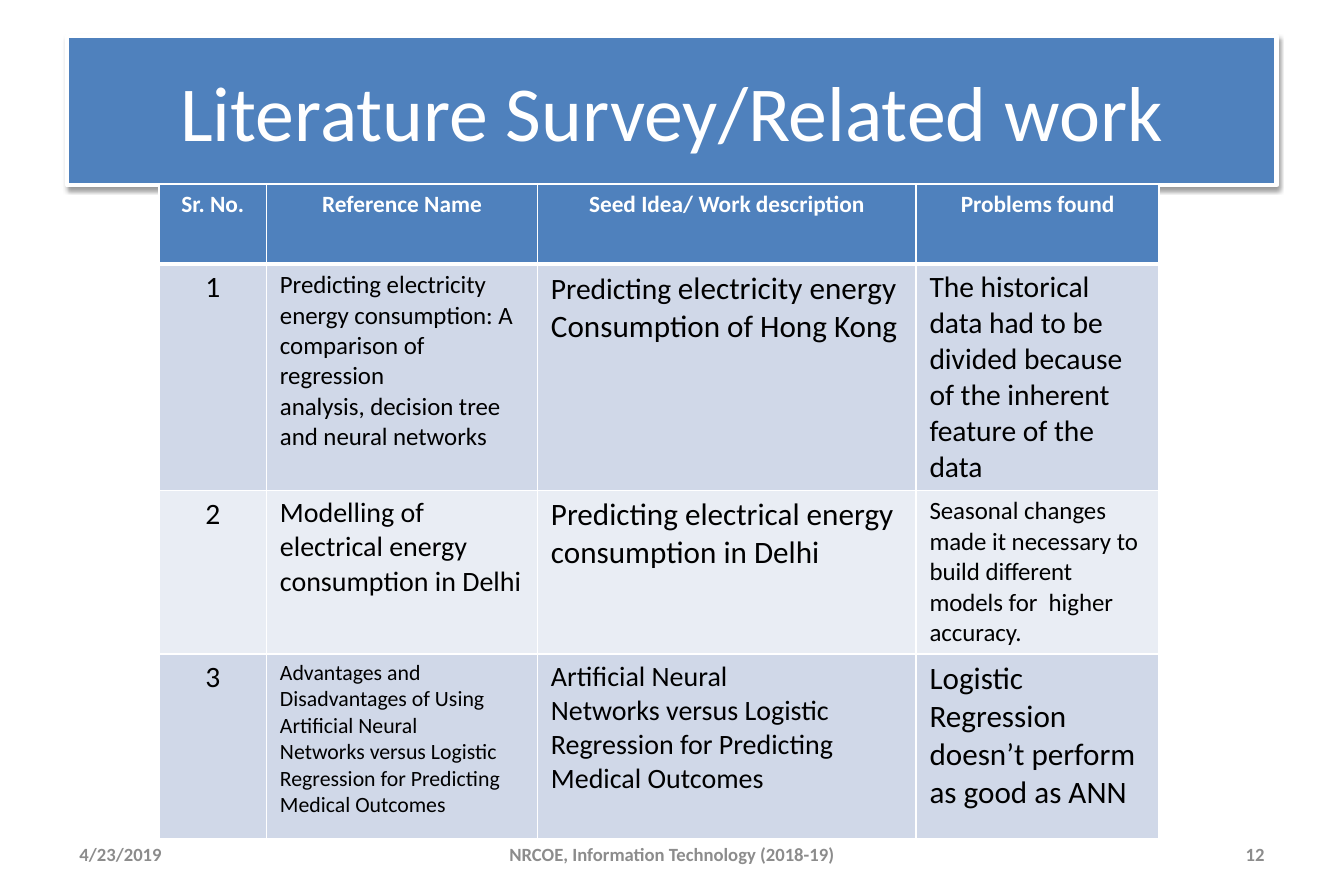
from lxml.etree import SubElement
from pptx import Presentation
from pptx.dml.color import RGBColor
from pptx.enum.shapes import MSO_SHAPE as Shape
from pptx.enum.text import MSO_ANCHOR as Anchor, PP_ALIGN as Align
from pptx.oxml.ns import qn
from pptx.util import Inches, Pt

WIDTH, HEIGHT = 12, 8
MARGIN = 0.05 * WIDTH
FONT = "Calibri"
BLUE = RGBColor(0x4F, 0x81, 0xBD)
BAND_DARK = RGBColor(0xD0, 0xD8, 0xE8)
BAND_LIGHT = RGBColor(0xE9, 0xED, 0xF4)
WHITE = RGBColor(0xFF, 0xFF, 0xFF)
BLACK = RGBColor(0, 0, 0)
GREY = RGBColor(0x8C, 0x8C, 0x8C)

COLUMNS = [0.96, 2.42, 3.38, 2.17]
ROWS = [0.71, 2.02, 1.46, 1.65]
HEADINGS = ["Sr. No.", "Reference Name", "Seed Idea/ Work description", "Problems found"]
# Each cell lists its paragraphs, each paragraph its (text, size) spans.
SURVEY = [
    [
        [[("1", 19)]],
        [[("Predicting electricity energy consumption: A comparison of regression", 16)],
         [("analysis, decision tree and neural networks", 16)]],
        [[("Predicting ", 19), ("electricity energy", 20)],
         [("Consumption of Hong Kong", 20)]],
        [[("The historical data had to be divided because of the inherent "
           "feature of the data", 19)]],
    ],
    [
        [[("2", 19)]],
        [[("Modelling of electrical energy consumption in Delhi", 18)]],
        [[("Predicting electrical energy consumption in Delhi", 20)]],
        [[("Seasonal changes made it necessary to build different models for  "
           "higher accuracy.", 16)]],
    ],
    [
        [[("3", 19)]],
        *[[[(line, size)] for line in lines] for lines, size in [
            (["Advantages and Disadvantages of Using Artificial Neural",
              "Networks versus Logistic Regression for Predicting",
              "Medical Outcomes"], 14),
            (["Artificial Neural",
              "Networks versus Logistic Regression for Predicting",
              "Medical Outcomes"], 18)]],
        [[("Logistic Regression doesn’t perform as good as ANN", 20)]],
    ],
]


def write(frame, paragraphs, align, color, bold=False):
    for index, spans in enumerate(paragraphs):
        para = frame.paragraphs[0] if index == 0 else frame.add_paragraph()
        para.alignment = align
        for text, size in spans:
            span = para.add_run()
            span.text = text
            span.font.color.rgb = color
            for name, value in {"name": FONT, "size": Pt(size), "bold": bold}.items():
                setattr(span.font, name, value)


def set_frame(frame):
    formats = {"word_wrap": True, "vertical_anchor": Anchor.MIDDLE,
               "margin_left": Inches(0.11), "margin_right": Inches(0.11),
               "margin_top": Inches(0.06), "margin_bottom": Inches(0.06)}
    for name, value in formats.items():
        setattr(frame, name, value)


def add_shadow(shape):
    shape.shadow.inherit = False
    effects = shape._element.spPr.find(qn("a:effectLst"))
    shadow = SubElement(effects, qn("a:outerShdw"), blurRad=str(Pt(3.1)),
                        dist=str(Pt(1.6)), dir="5400000", rotWithShape="0")
    color = SubElement(shadow, qn("a:srgbClr"), val=str(BLACK))
    SubElement(color, qn("a:alpha"), val="38000")


def add_title(page, left, top, width, height):
    box = page.shapes.add_shape(Shape.RECTANGLE, *map(Inches, (left, top, width, height)))
    box.fill.solid()
    box.fill.fore_color.rgb = BLUE
    box.line.color.rgb = WHITE
    box.line.width = Pt(3)
    add_shadow(box)
    set_frame(box.text_frame)
    write(box.text_frame, [[("Literature Survey/Related work", 50)]], Align.CENTER, WHITE)


def add_footer(page, left, top, width, height):
    """Place date, course and page number at the left, middle and right."""
    side, middle = 2.8, 3.8
    parts = [("4/23/2019", 0, side, Align.LEFT),
             ("NRCOE, Information Technology (2018-19)", (width - middle) / 2, middle,
              Align.CENTER),
             ("12", width - side, side, Align.RIGHT)]
    for text, offset, part_width, align in parts:
        box = page.shapes.add_textbox(*map(Inches, (left + offset, top, part_width, height)))
        set_frame(box.text_frame)
        write(box.text_frame, [[(text, 12)]], align, GREY, bold=True)


def style_cell(cell, fill, heavy_edge):
    """Draw white borders, with a thick one on the named edge, and fill the cell."""
    properties = cell._tc.get_or_add_tcPr()
    for edge in "LRTB":
        line = SubElement(properties, qn(f"a:ln{edge}"), w=str(Pt(3 if edge == heavy_edge else 1)))
        SubElement(SubElement(line, qn("a:solidFill")), qn("a:srgbClr"), val=str(WHITE))
    cell.fill.solid()
    cell.fill.fore_color.rgb = fill
    formats = {"margin_left": Inches(0.12), "margin_right": Inches(0.12),
               "margin_top": Inches(0.05), "margin_bottom": Inches(0.05)}
    for name, value in formats.items():
        setattr(cell, name, value)


def add_survey(page, left, top):
    box = map(Inches, (left, top, sum(COLUMNS), sum(ROWS)))
    table = page.shapes.add_table(len(ROWS), len(COLUMNS), *box).table
    for column, width in zip(table.columns, COLUMNS):
        column.width = Inches(width)
    for row, height in zip(table.rows, ROWS):
        row.height = Inches(height)

    header = [[[(text, 15)]] for text in HEADINGS]
    for row, contents in enumerate([header, *SURVEY]):
        is_header = row == 0
        fill = BLUE if is_header else BAND_DARK if row % 2 else BAND_LIGHT
        heavy_edge = {0: "B", 1: "T"}.get(row)
        for column, paragraphs in enumerate(contents):
            cell = table.cell(row, column)
            style_cell(cell, fill, heavy_edge)
            align = Align.CENTER if is_header or column == 0 else Align.LEFT
            write(cell.text_frame, paragraphs, align, WHITE if is_header else BLACK, is_header)


def main():
    deck = Presentation()
    deck.slide_width, deck.slide_height = Inches(WIDTH), Inches(HEIGHT)
    page = deck.slides.add_slide(deck.slide_layouts[6])
    content_width = WIDTH - 2 * MARGIN
    add_title(page, MARGIN, 0.04 * HEIGHT, content_width, HEIGHT / 6)
    add_footer(page, MARGIN, 7.41, content_width, 0.43)
    add_survey(page, 1.42, 1.65)
    deck.save("out.pptx")


if __name__ == "__main__":
    main()
